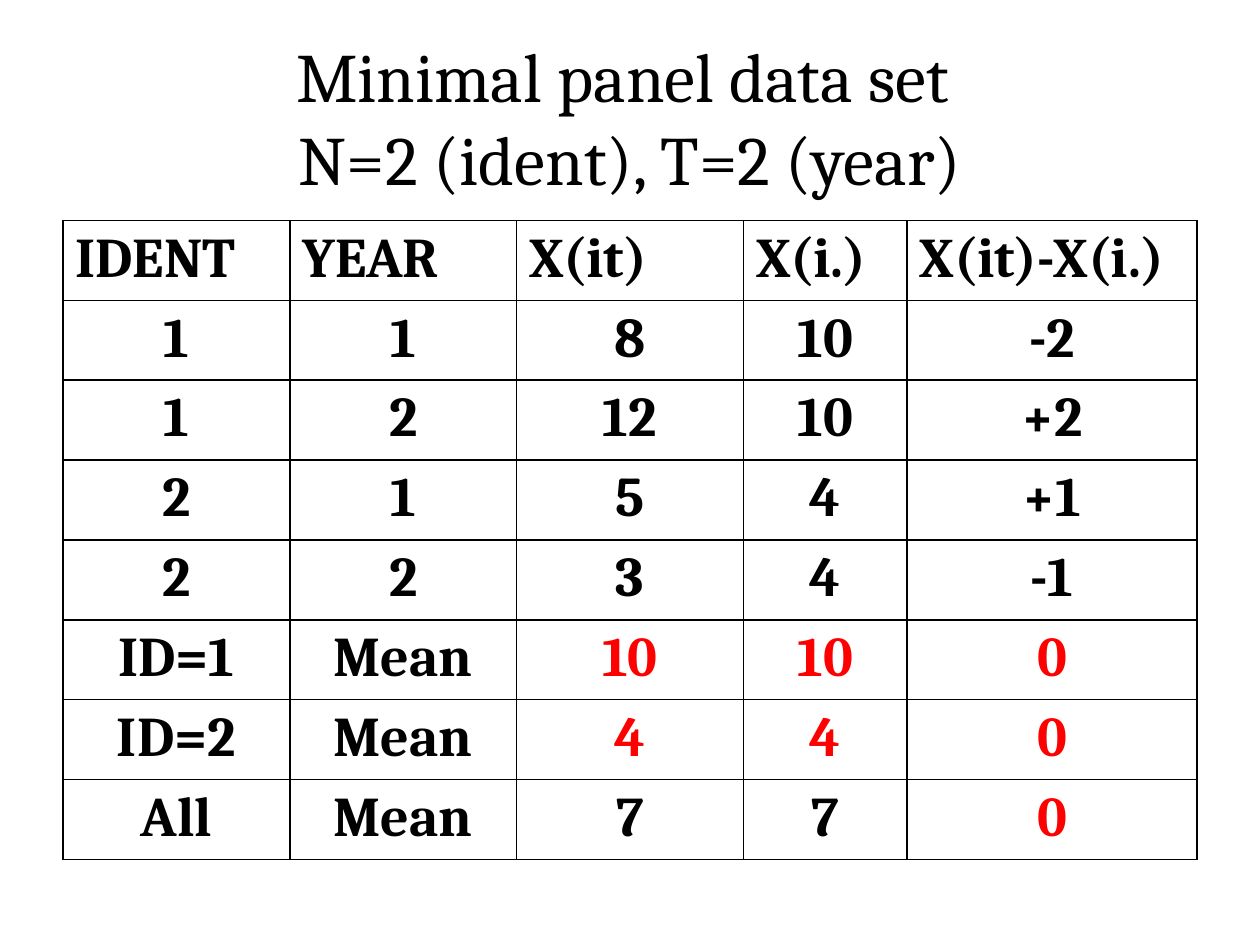
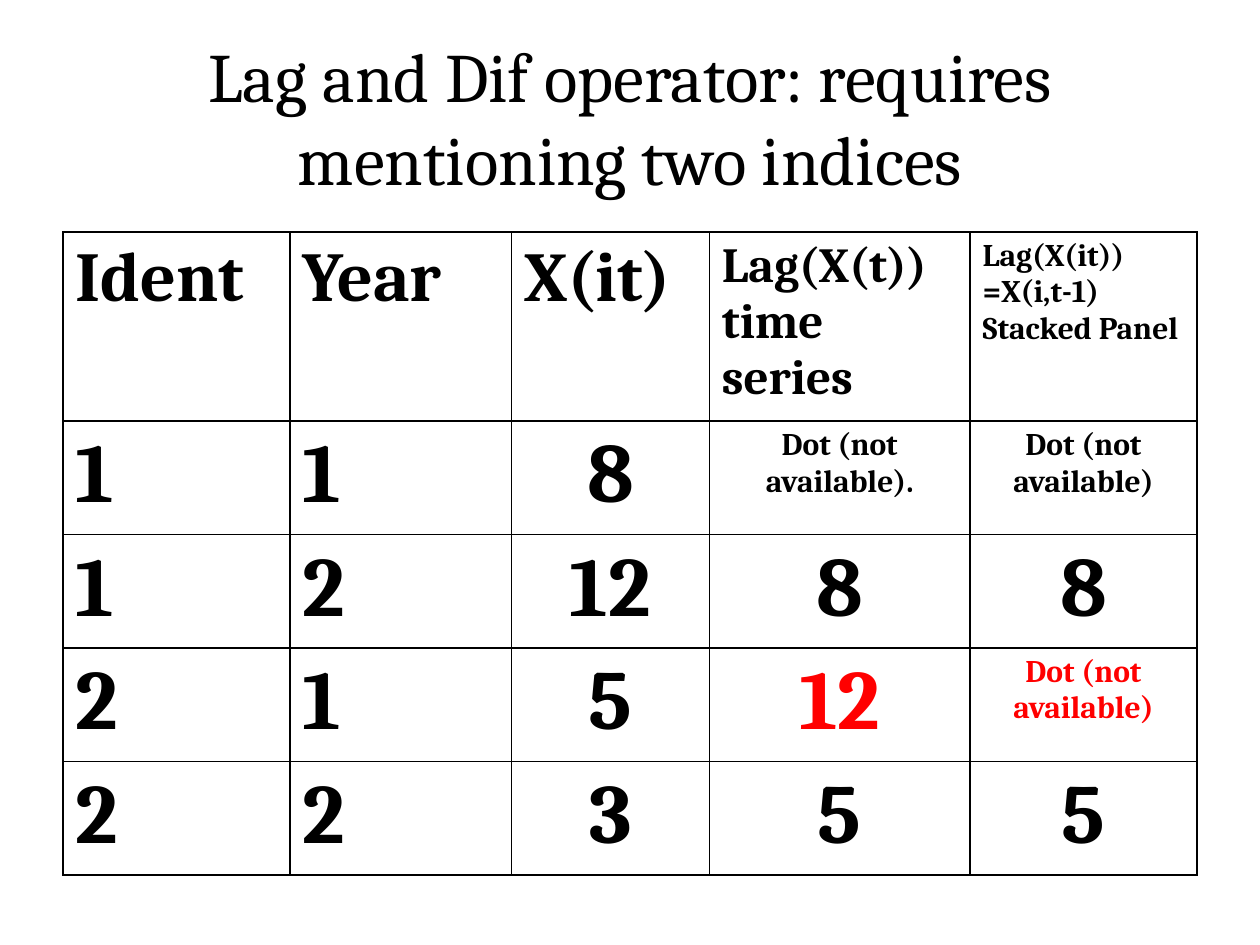
from dataclasses import dataclass

from lxml import etree
from pptx import Presentation
from pptx.dml.color import RGBColor
from pptx.enum.text import MSO_ANCHOR, PP_ALIGN
from pptx.oxml.ns import qn
from pptx.util import Inches, Pt

CENTER, LEFT = PP_ALIGN.CENTER, PP_ALIGN.LEFT
MIDDLE = MSO_ANCHOR.MIDDLE
BLANK_LAYOUT = 6
GRID_COLUMNS, GRID_ROWS = 100, 75


@dataclass(frozen=True)
class Theme:
    font: str = "Cambria"
    ink: str = "000000"
    accent: str = "FF0000"
    paper: str = "FFFFFF"
    title: float = 39.6
    number: int = 48
    heading: int = 40
    body: int = 32
    subheading: int = 28
    note: int = 18
    border: int = 1


class Builder:
    """Holds the theme and the current page; lengths are grid columns and rows."""

    def __init__(self, deck, theme):
        self.deck = deck
        self.theme = theme
        self.page = None

    def across(self, columns):
        return round(self.deck.slide_width * columns / GRID_COLUMNS)

    def down(self, rows):
        return round(self.deck.slide_height * rows / GRID_ROWS)

    def add_page(self, title):
        self.page = self.deck.slides.add_slide(self.deck.slide_layouts[BLANK_LAYOUT])
        background = self.page.background.fill
        background.solid()
        background.fore_color.rgb = RGBColor.from_string(self.theme.paper)
        self.add_title(title)

    def add_title(self, text):
        box = self.page.shapes.add_textbox(
            self.across(5), self.down(3), self.across(90), self.down(12.5))
        frame = box.text_frame
        frame.word_wrap = True
        frame.vertical_anchor = MIDDLE
        frame.text = text
        self.style_text(frame, self.theme.title, CENTER)

    def style_text(self, frame, size, align, color=None, bold=False):
        for para in frame.paragraphs:
            para.alignment = align
            for span in para.runs:
                span.font.name = self.theme.font
                span.font.size = Pt(size)
                span.font.bold = bold
                span.font.color.rgb = RGBColor.from_string(color or self.theme.ink)

    def add_table(self, top, widths, heights, texts, header_sizes, size_of,
                  first_centered, red_cells):
        """Body columns from first_centered on are centred; size_of gives body type sizes."""
        frame = self.page.shapes.add_table(
            len(heights), len(widths), self.across(5), self.down(top),
            self.across(sum(widths)), self.down(sum(heights)))
        table = frame.table
        table.first_row = table.horz_banding = False
        for column, width in zip(table.columns, widths):
            column.width = self.across(width)
        for row, height in zip(table.rows, heights):
            row.height = self.down(height)
        for r, row_texts in enumerate(texts):
            for c, text in enumerate(row_texts):
                cell = table.cell(r, c)
                cell.text_frame.text = text
                size = size_of(text) if r else header_sizes[c]
                align = CENTER if r and c >= first_centered else LEFT
                color = self.theme.accent if (r, c) in red_cells else self.theme.ink
                self.style_text(cell.text_frame, size, align, color, bold=True)
                self.add_borders(cell)
                cell.fill.background()

    def add_borders(self, cell):
        properties = cell._tc.get_or_add_tcPr()
        for side in ("a:lnL", "a:lnR", "a:lnT", "a:lnB"):
            line = etree.SubElement(properties, qn(side), w=str(Pt(self.theme.border)))
            fill = etree.SubElement(line, qn("a:solidFill"))
            etree.SubElement(fill, qn("a:srgbClr"), val=self.theme.ink)


def add_panel_page(builder):
    builder.add_page("Minimal panel data set \vN=2 (ident), T=2 (year)")
    texts = [
        ("IDENT", "YEAR", "X(it)", "X(i.)", "X(it)-X(i.)"),
        ("1", "1", "8", "10", "-2"),
        ("1", "2", "12", "10", "+2"),
        ("2", "1", "5", "4", "+1"),
        ("2", "2", "3", "4", "-1"),
        ("ID=1", "Mean", "10", "10", "0"),
        ("ID=2", "Mean", "4", "4", "0"),
        ("All", "Mean", "7", "7", "0"),
    ]
    body = builder.theme.body
    group_means = {(r, c) for r in (5, 6) for c in (2, 3, 4)}
    builder.add_table(
        top=17.5, widths=(18, 18, 18, 13, 23), heights=[6.12] * len(texts),
        texts=texts, header_sizes=[body] * 5, size_of=lambda text: body,
        first_centered=0, red_cells=group_means | {(7, 4)})


def add_lag_page(builder):
    builder.add_page("Lag and Dif operator: requires mentioning two indices")
    missing = "Dot (not available)"
    texts = [
        ("Ident", "Year", "X(it)", "Lag(X(t)) time series",
         "Lag(X(it))\n=X(i,t-1)\nStacked Panel"),
        ("1", "1", "8", missing + ".", missing),
        ("1", "2", "12", "8", "8"),
        ("2", "1", "5", "12", missing),
        ("2", "2", "3", "5", "5"),
    ]
    theme = builder.theme
    builder.add_table(
        top=18.4, widths=(18, 17.6, 15.7, 20.7, 18), heights=[14.4] + [8.68] * 4,
        texts=texts,
        header_sizes=[theme.heading] * 3 + [theme.subheading, theme.note],
        size_of=lambda text: theme.number if text.isdigit() else theme.note,
        first_centered=2, red_cells={(3, 3), (3, 4)})


def main():
    deck = Presentation()
    deck.slide_width, deck.slide_height = Inches(10), Inches(7.5)
    builder = Builder(deck, Theme())
    add_panel_page(builder)
    add_lag_page(builder)
    deck.save("out.pptx")


if __name__ == "__main__":
    main()
